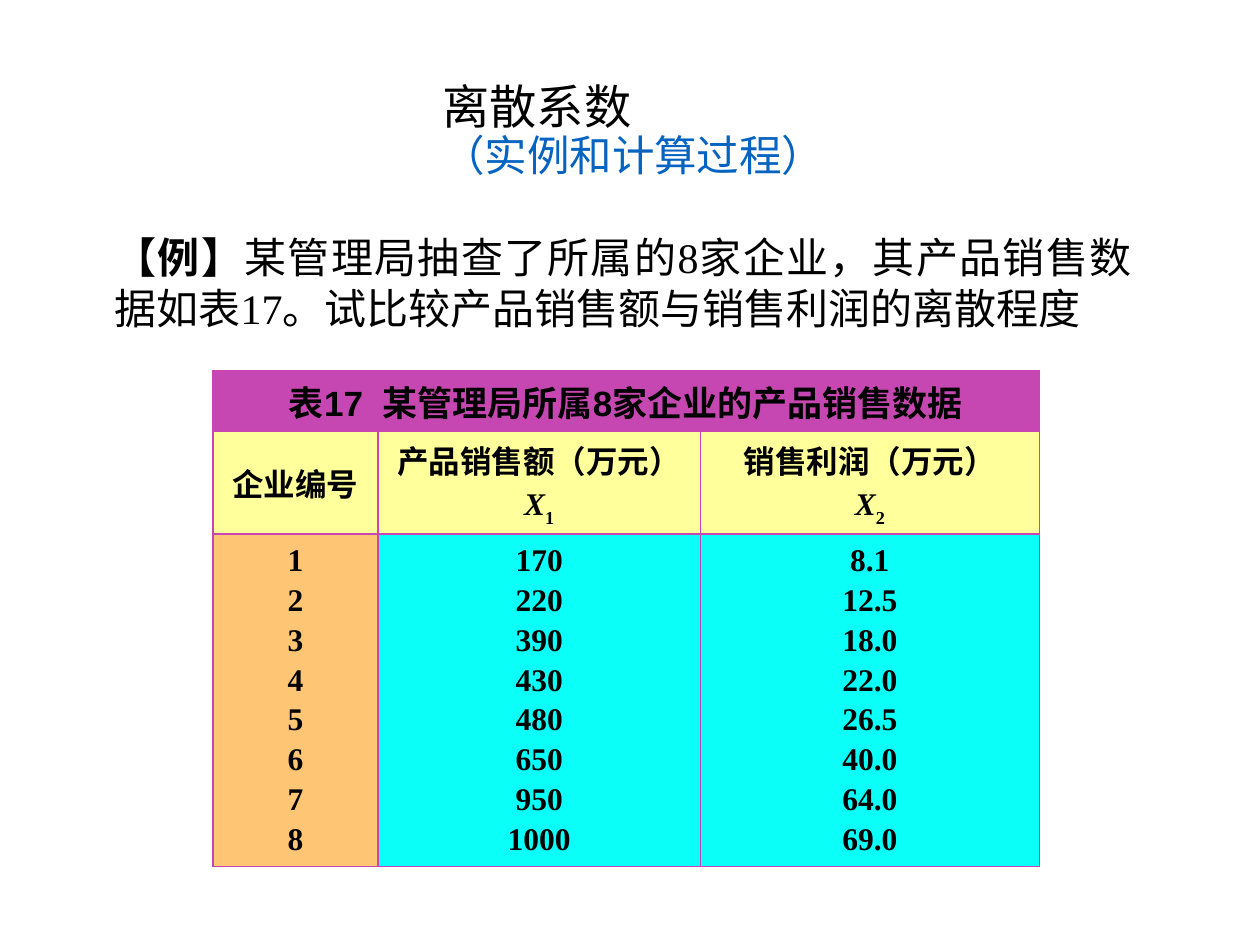
from lxml import etree
from pptx import Presentation
from pptx.dml.color import RGBColor
from pptx.enum.text import MSO_ANCHOR as Anchor, MSO_AUTO_SIZE as Fit, PP_ALIGN as Align
from pptx.oxml.ns import qn
from pptx.util import Cm, Pt


def tint(fmt, color):
    fmt.solid()
    fmt.fore_color.rgb = RGBColor.from_string(color)


def write(para, text, color="000000", **look):
    run = para.add_run()
    run.text = text
    for key, val in look.items():
        setattr(run.font, key, val)
    tint(run.font.fill, color)
    return run


deck = Presentation()
deck.slide_width, deck.slide_height = Cm(25.4), Cm(19.05)
slide = deck.slides.add_slide(deck.slide_layouts[5])

# Title
title = slide.shapes.title
title.left, title.top, title.width, title.height = Cm(4.17), Cm(1.63), Cm(17.14), Cm(2.06)
frame = title.text_frame
look = dict(word_wrap=True, auto_size=Fit.NONE, vertical_anchor=Anchor.MIDDLE,
            margin_left=Cm(4.75), margin_right=Cm(0.18),
            margin_top=Cm(0.1), margin_bottom=Cm(0.1))
for key, val in look.items():
    setattr(frame, key, val)
para = frame.paragraphs[0]
para.alignment, para.line_spacing = Align.LEFT, 0.9
write(para, "离散系数", name="Calibri", size=Pt(27))
para.add_line_break()
write(para, "（实例和计算过程）", "0563C1", name="Calibri", size=Pt(24.3))

# Table grid
heads = [("企业编号", ""), ("产品销售额（万元）", "1"), ("销售利润（万元）", "2")]
data = [
    ["1", "2", "3", "4", "5", "6", "7", "8"],
    ["170", "220", "390", "430", "480", "650", "950", "1000"],
    ["8.1", "12.5", "18.0", "22.0", "26.5", "40.0", "64.0", "69.0"],
]
fills = [["C747B2"] * 3, ["FFFF9B"] * 3, ["FEC674", "0BFFF9", "0BFFF9"]]
wide, high = [3.33, 6.5, 6.83], [1.22, 2.07, 6.7]
table = slide.shapes.add_table(3, 3, Cm(4.29), Cm(7.47), Cm(sum(wide)), Cm(sum(high))).table
table.first_row = table.horz_banding = False
for col, size in zip(table.columns, wide):
    col.width = Cm(size)
for row, size in zip(table.rows, high):
    row.height = Cm(size)
table.cell(0, 0).merge(table.cell(0, 2))

# Table text
body = dict(name="Times New Roman", size=Pt(18), bold=True)
write(table.cell(0, 0).text_frame.paragraphs[0], "表17  某管理局所属8家企业的产品销售数据",
      name="Arial", size=Pt(20), bold=True)
for col, (head, sub) in enumerate(heads):
    frame = table.cell(1, col).text_frame
    write(frame.paragraphs[0], head, **body)
    if sub:
        para = frame.add_paragraph()
        write(para, "X", italic=True, **body)
        low = write(para, sub, **body)
        low.font._element.set("baseline", "-30000")
    frame = table.cell(2, col).text_frame
    for num, val in enumerate(data[col]):
        para = frame.add_paragraph() if num else frame.paragraphs[0]
        write(para, val, **body)

# Cell format and borders
look = dict(vertical_anchor=Anchor.MIDDLE, margin_left=Cm(0.18), margin_right=Cm(0.18),
            margin_top=Cm(0.1), margin_bottom=Cm(0.1))
for row in range(3):
    for col in range(3):
        cell = table.cell(row, col)
        for key, val in look.items():
            setattr(cell, key, val)
        for num, para in enumerate(cell.text_frame.paragraphs):
            para.alignment = Align.CENTER
            if num:
                para.space_before = Pt(2.8)
        props = cell._tc.get_or_add_tcPr()
        for side in ("a:lnL", "a:lnR", "a:lnT", "a:lnB"):
            line = etree.SubElement(props, qn(side), w=str(Pt(1)))
            ink = etree.SubElement(line, qn("a:solidFill"))
            etree.SubElement(ink, qn("a:srgbClr"), val="C945B3")
        tint(cell.fill, fills[row][col])

# Example text
box = slide.shapes.add_textbox(Cm(2.06), Cm(4.55), Cm(21), Cm(2.31))
frame = box.text_frame
frame.word_wrap, frame.auto_size = True, Fit.SHAPE_TO_FIT_TEXT
para = frame.paragraphs[0]
para.alignment = Align.JUSTIFY
body["size"] = Pt(24)
write(para, "【例】", **body)
body["bold"] = False
write(para, "某管理局抽查了所属的8家企业，其产品销售数据如表17。试比较产品销售额与销售利润的离散程度", **body)

deck.save("out.pptx")
